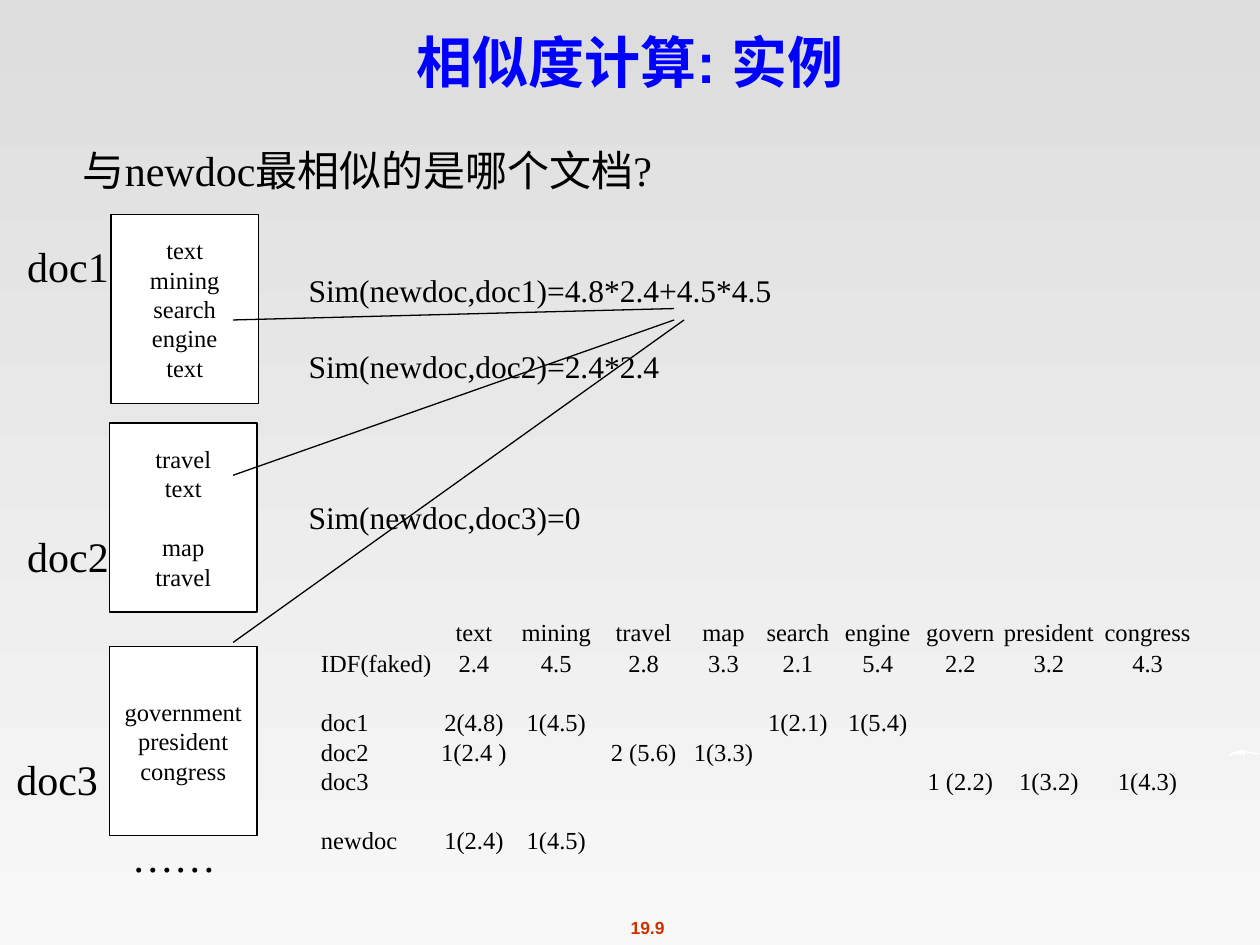
from lxml.etree import SubElement
from pptx import Presentation
from pptx.dml.color import RGBColor
from pptx.enum.shapes import MSO_CONNECTOR, MSO_SHAPE
from pptx.enum.text import MSO_ANCHOR, PP_ALIGN
from pptx.oxml.ns import qn
from pptx.util import Cm, Pt

BLACK = RGBColor(0x00, 0x00, 0x00)
WHITE = RGBColor(0xFF, 0xFF, 0xFF)
BLUE = RGBColor(0x00, 0x00, 0xFF)
RUST = RGBColor(0xCC, 0x33, 0x00)
GRADIENT = RGBColor(0xDD, 0xDD, 0xDD), RGBColor(0xF8, 0xF8, 0xF8)
SERIF = "Times New Roman"
NO_STYLE_NO_GRID = "{2D5ABB26-0587-4C30-8999-92F81FD0307C}"


def write(frame, lines, size, color=BLACK, font=SERIF, bold=False, align=PP_ALIGN.LEFT):
    """Fill the frame with (text, points of space above) lines."""
    for number, (text, space) in enumerate(lines):
        paragraph = frame.add_paragraph() if number else frame.paragraphs[0]
        paragraph.alignment = align
        paragraph.space_before = Pt(space)
        run = paragraph.add_run()
        run.text = text
        run.font.size = Pt(size)
        run.font.name = font
        run.font.bold = bold
        run.font.color.rgb = color


def add_label(left, top, width, height, lines, size, **look):
    frame = slide.shapes.add_textbox(Cm(left), Cm(top), Cm(width), Cm(height)).text_frame
    frame.word_wrap = True
    write(frame, lines, size, **look)


prs = Presentation()
prs.slide_width, prs.slide_height = Cm(25.4), Cm(19.05)
slide = prs.slides.add_slide(prs.slide_layouts[5])

background = slide.background.fill
background.gradient()
background.gradient_angle = 270
for stop, color in zip(background.gradient_stops, GRADIENT):
    stop.color.rgb = color

# Page number and the white stroke at the right edge
add_label(11.71, 18.36, 2.69, 0.69, [("19.9", 6.2)], 10,
          color=RUST, font="Arial", bold=True, align=PP_ALIGN.CENTER)
stroke_outline = [(24.77, 15.26), (24.82, 15.18), (24.94, 15.14), (25.06, 15.12),
                  (25.2, 15.16), (25.4, 15.19), (25.34, 15.21), (25.1, 15.17),
                  (25.1, 15.24), (25.02, 15.17), (25.02, 15.24), (24.94, 15.17),
                  (24.97, 15.24), (24.89, 15.19)]
points = [(Cm(x), Cm(y)) for x, y in stroke_outline]
builder = slide.shapes.build_freeform(*points[0])
builder.add_line_segments(points[1:], close=True)
stroke = builder.convert_to_shape()
stroke.shadow.inherit = False
stroke.fill.solid()
stroke.fill.fore_color.rgb = WHITE
stroke.line.fill.background()

title = slide.shapes.title
title.left, title.top, title.width, title.height = Cm(0), Cm(0), Cm(25.4), Cm(2.03)
title.text_frame.vertical_anchor = MSO_ANCHOR.BOTTOM
write(title.text_frame, [("相似度计算: 实例", 0)], 32,
      color=BLUE, font="Arial", bold=True, align=PP_ALIGN.CENTER)

add_label(1.42, 2.79, 22.83, 1.27, [("与newdoc最相似的是哪个文档?", 0)], 24)

# Term weights: one row per document, one column per term
columns = [("", 2.3), ("text", 1.57), ("mining", 1.75), ("travel", 1.77), ("map", 1.45),
           ("search", 1.55), ("engine", 1.67), ("govern", 1.66), ("president", 1.91),
           ("congress", 2.07)]
weights = [
    (0.63, [term for term, _ in columns]),
    (0.64, ["IDF(faked)", "2.4", "4.5", "2.8", "3.3", "2.1", "5.4", "2.2", "3.2", "4.3"]),
    (1.19, ["doc1", "2(4.8)", "1(4.5)", "", "", "1(2.1)", "1(5.4)", "", "", ""]),
    (0.59, ["doc2", "1(2.4 )", "", "2 (5.6)", "1(3.3)", "", "", "", "", ""]),
    (0.59, ["doc3", "", "", "", "", "", "", "1 (2.2)", "1(3.2)", "1(4.3)"]),
    (1.19, ["newdoc", "1(2.4)", "1(4.5)", "", "", "", "", "", "", ""]),
]
table_width = sum(width for _, width in columns)
table_height = sum(height for height, _ in weights)
table = slide.shapes.add_table(len(weights), len(columns), Cm(6.47), Cm(12.4),
                               Cm(table_width), Cm(table_height)).table
table.first_row = table.horz_banding = False
table._tbl.tblPr.find(qn("a:tableStyleId")).text = NO_STYLE_NO_GRID
for column, (_, width) in zip(table.columns, columns):
    column.width = Cm(width)
for row, (height, values) in zip(table.rows, weights):
    row.height = Cm(height)
    for number, (cell, value) in enumerate(zip(row.cells, values)):
        cell.fill.background()
        cell.margin_left = cell.margin_right = cell.margin_top = cell.margin_bottom = 0
        cell.vertical_anchor = MSO_ANCHOR.BOTTOM
        if value:
            write(cell.text_frame, [(value, 0)], 14,
                  align=PP_ALIGN.CENTER if number else PP_ALIGN.LEFT)
        else:
            SubElement(cell.text_frame.paragraphs[0]._p, qn("a:endParaRPr"), sz="1400")

# Documents: name, name position, box position, words
documents = [
    ("doc1", 0.3, 4.72, 2.24, 4.32,
     [("text", 0), ("mining", 0), ("search", 0), ("engine", 0), ("text", 0)]),
    ("doc2", 0.3, 10.57, 2.21, 8.53,
     [("travel", 0), ("text", 0), ("map", 17), ("travel", 0)]),
    ("doc3", 0.08, 15.06, 2.21, 13.03,
     [("government", 0), ("president", 0), ("congress", 0)]),
]
for name, name_left, name_top, left, top, words in documents:
    box = slide.shapes.add_shape(MSO_SHAPE.RECTANGLE, Cm(left), Cm(top), Cm(2.97), Cm(3.81))
    box.shadow.inherit = False
    box.fill.solid()
    box.fill.fore_color.rgb = WHITE
    box.line.color.rgb = BLACK
    box.line.width = Pt(0.75)
    box.text_frame.word_wrap = False
    box.text_frame.vertical_anchor = MSO_ANCHOR.MIDDLE
    write(box.text_frame, words, 14, align=PP_ALIGN.CENTER)
    add_label(name_left, name_top, 2.3, 1.27, [(name, 0)], 24)
add_label(2.41, 16.61, 2.3, 1.27, [("……", 0)], 24)

similarities = [("Sim(newdoc,doc1)=4.8*2.4+4.5*4.5", 0),
                ("Sim(newdoc,doc2)=2.4*2.4", 22),
                ("Sim(newdoc,doc3)=0", 65)]
add_label(5.97, 5.33, 10.2, 5.59, similarities, 18)

for start_y, end_x, end_y in [(6.45, 13.59, 6.22), (9.58, 13.59, 6.45), (12.95, 13.79, 6.45)]:
    link = slide.shapes.add_connector(MSO_CONNECTOR.STRAIGHT, Cm(4.7), Cm(start_y),
                                      Cm(end_x), Cm(end_y))
    link.line.color.rgb = BLACK
    link.line.width = Pt(0.75)
    SubElement(link._element.spPr, qn("a:effectLst"))

prs.save("out.pptx")
